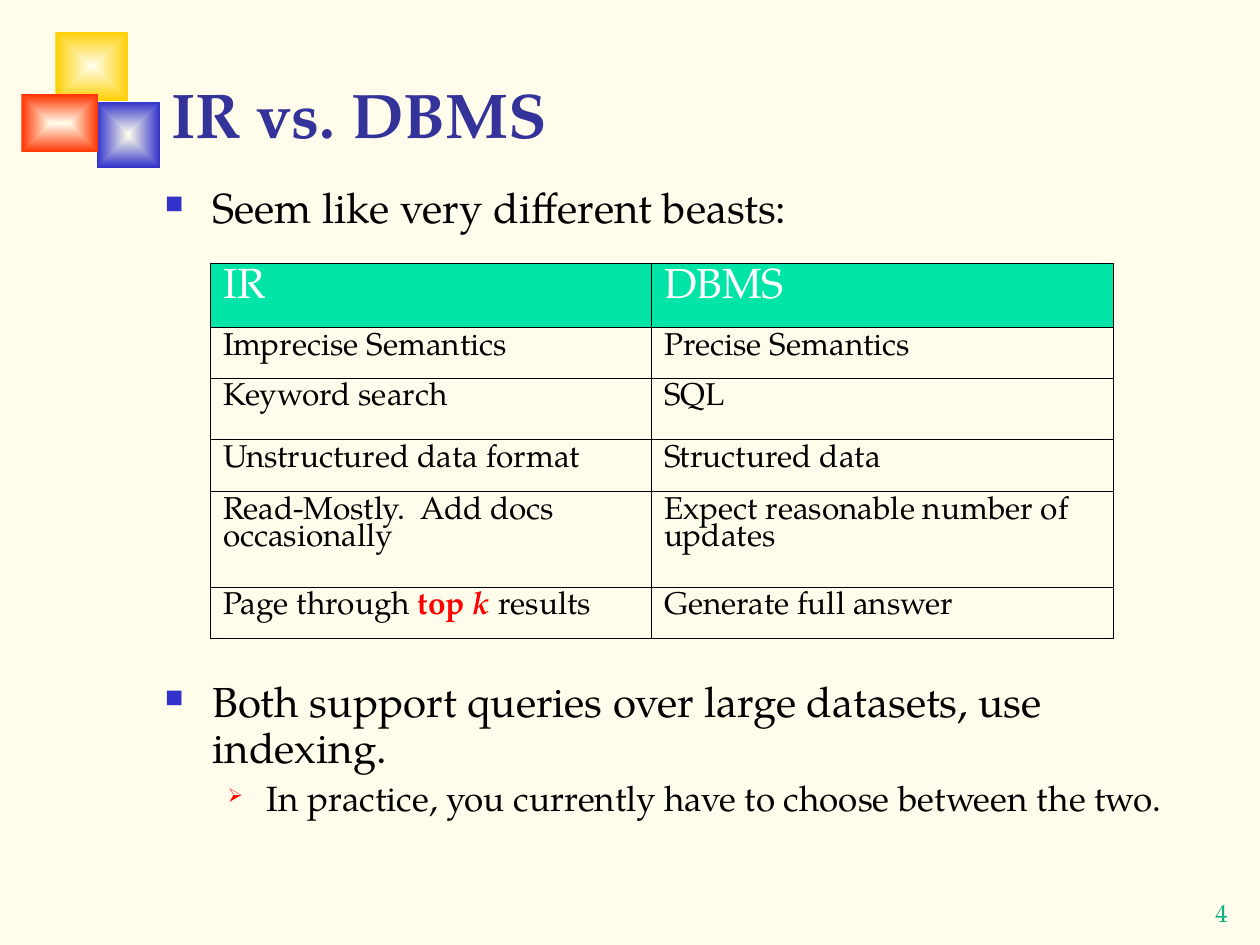
from pptx import Presentation
from pptx.dml.color import RGBColor
from pptx.enum.shapes import MSO_SHAPE
from pptx.enum.text import MSO_ANCHOR, PP_ALIGN
from pptx.oxml import parse_xml
from pptx.oxml.ns import nsdecls, qn
from pptx.util import Inches, Pt

FONT = "TeX Gyre Pagella"
CREAM = RGBColor(0xFF, 0xFC, 0xEB)
GLOW = RGBColor(0xFF, 0xFE, 0xEB)
YELLOW = RGBColor(0xFF, 0xCF, 0x01)
BLUE = RGBColor(0x33, 0x33, 0xCC)
ORANGE = RGBColor(0xFF, 0x33, 0x00)
NAVY = RGBColor(0x33, 0x33, 0x99)
GREEN = RGBColor(0x00, 0xAE, 0x80)
MINT = RGBColor(0x00, 0xE4, 0xA8)
RED = RGBColor(0xFF, 0x00, 0x00)
BLACK = RGBColor(0x00, 0x00, 0x00)
WHITE = RGBColor(0xFF, 0xFF, 0xFF)

LEVELS = [
    {"size": 24, "before": 6, "left": 0.38, "hang": 0.38, "char": "■", "color": BLUE, "scale": 60},
    {"size": 20, "before": 5, "left": 0.81, "hang": 0.31, "char": "➢", "color": RED, "scale": 55},
]
ROWS = [
    ("IR", "DBMS"),
    ("Imprecise Semantics", "Precise Semantics"),
    ("Keyword search", "SQL"),
    ("Unstructured data format", "Structured data"),
    ("Read-Mostly.  Add docs occasionally", "Expect reasonable number of updates"),
    ([("Page through ", {}), ("top ", {"color": RED, "bold": True}),
      ("k", {"color": RED, "bold": True, "italic": True}), (" results", {})],
     "Generate full answer"),
]


def add_run(p, text, size, color=BLACK, **formats):
    """Add a run with the slide font and the given format values."""
    r = p.add_run()
    r.text = text
    values = {"name": FONT, "size": Pt(size), "bold": False, "italic": False, **formats}
    for name, value in values.items():
        setattr(r.font, name, value)
    r.font.color.rgb = color


def add_text(s, box, **formats):
    """Add a text box and return its text frame."""
    tf = s.shapes.add_textbox(*map(Inches, box)).text_frame
    for name, value in {"word_wrap": True, **formats}.items():
        setattr(tf, name, value)
    return tf


def add_square(s, box, color):
    """Add a square that fades from a light centre to its edge colour."""
    sp = s.shapes.add_shape(MSO_SHAPE.RECTANGLE, *map(Inches, box))
    sp.shadow.inherit = False
    sp.line.fill.background()
    sp.fill.gradient()
    for stop, rgb, position in zip(sp.fill.gradient_stops, (GLOW, color), (0, 1)):
        stop.color.rgb = rgb
        stop.position = position
    grad = sp._element.spPr.find(qn("a:gradFill"))
    grad.replace(grad.find(qn("a:lin")), parse_xml(
        f'<a:path {nsdecls("a")} path="rect">'
        '<a:fillToRect l="50000" t="50000" r="50000" b="50000"/></a:path>'))


def add_emblem(s, left, top):
    """Place the three overlapping squares from the given corner."""
    for x, y, w, h, color in [(0.27, 0, 0.58, 0.55, YELLOW),
                              (0.6, 0.56, 0.5, 0.52, BLUE),
                              (0, 0.5, 0.61, 0.46, ORANGE)]:
        add_square(s, (left + x, top + y, w, h), color)


def add_title(s, box, text):
    """Place the title at the bottom of its box."""
    tf = add_text(s, box, vertical_anchor=MSO_ANCHOR.BOTTOM)
    add_run(tf.paragraphs[0], text, 36, NAVY, bold=True)


def add_number(s, box, text):
    """Place the slide number in the centre of its box."""
    p = add_text(s, box, word_wrap=False).paragraphs[0]
    p.alignment = PP_ALIGN.CENTER
    add_run(p, text, 14, GREEN)


def set_bullet(p, level):
    """Give a paragraph the indent and bullet of its level."""
    pPr = p._p.get_or_add_pPr()
    pPr.set("marL", str(Inches(level["left"])))
    pPr.set("indent", str(-Inches(level["hang"])))
    for xml in (f'<a:buClr {nsdecls("a")}><a:srgbClr val="{level["color"]}"/></a:buClr>',
                f'<a:buSzPct {nsdecls("a")} val="{level["scale"] * 1000}"/>',
                f'<a:buChar {nsdecls("a")} char="{level["char"]}"/>'):
        pPr.append(parse_xml(xml))


def add_bullets(s, box, items):
    """Place bulleted paragraphs given as pairs of level and text."""
    tf = add_text(s, box)
    for i, (depth, text) in enumerate(items):
        p = tf.paragraphs[0] if i == 0 else tf.add_paragraph()
        level = LEVELS[depth]
        set_bullet(p, level)
        p.level = depth
        p.line_spacing = 0.9
        p.space_before = Pt(level["before"] if i else 0)
        add_run(p, text, level["size"])


def set_borders(cell):
    """Draw thin black lines on all sides of a cell."""
    tcPr = cell._tc.get_or_add_tcPr()
    for side in ("lnL", "lnR", "lnT", "lnB"):
        tcPr.append(parse_xml(
            f'<a:{side} {nsdecls("a")} w="{Pt(0.45)}"><a:solidFill>'
            f'<a:srgbClr val="{BLACK}"/></a:solidFill></a:{side}>'))


def fill_cell(cell, content, header):
    """Write and style one cell of the comparison."""
    set_borders(cell)
    if header:
        cell.fill.solid()
        cell.fill.fore_color.rgb = MINT
    else:
        cell.fill.background()
    p = cell.text_frame.paragraphs[0]
    p.line_spacing = 0.85
    size, color = (24, WHITE) if header else (18, BLACK)
    for text, formats in [(content, {})] if isinstance(content, str) else content:
        add_run(p, text, size, **{"color": color, **formats})


def add_comparison(s, box, widths, heights):
    """Place the two-column comparison table."""
    table = s.shapes.add_table(len(ROWS), len(widths), *map(Inches, box)).table
    table.first_row = table.horz_banding = False
    for column, width in zip(table.columns, widths):
        column.width = Inches(width)
    for i, (row, height) in enumerate(zip(table.rows, heights)):
        row.height = Inches(height)
        for cell, content in zip(row.cells, ROWS[i]):
            fill_cell(cell, content, i == 0)


def main():
    """Build and save the slide."""
    prs = Presentation()
    prs.slide_width, prs.slide_height = Inches(10), Inches(7.5)
    s = prs.slides.add_slide(prs.slide_layouts[6])
    s.background.fill.solid()
    s.background.fill.fore_color.rgb = CREAM
    add_emblem(s, 0.17, 0.25)
    add_number(s, (9.1, 7.08, 1.19, 0.38), "4")
    add_title(s, (1.26, 0.17, 8.52, 1.08), "IR vs. DBMS")
    add_bullets(s, (1.21, 1.44, 8.61, 0.55), [(0, "Seem like very different beasts:")])
    add_comparison(s, (1.67, 2.09, 7.17, 2.98), (3.5, 3.67), (0.51, 0.4, 0.49, 0.41, 0.76, 0.41))
    add_bullets(s, (1.21, 5.36, 8.61, 1.64), [
        (0, "Both support queries over large datasets, use indexing."),
        (1, "In practice, you currently have to choose between the two."),
    ])
    prs.save("out.pptx")


if __name__ == "__main__":
    main()
